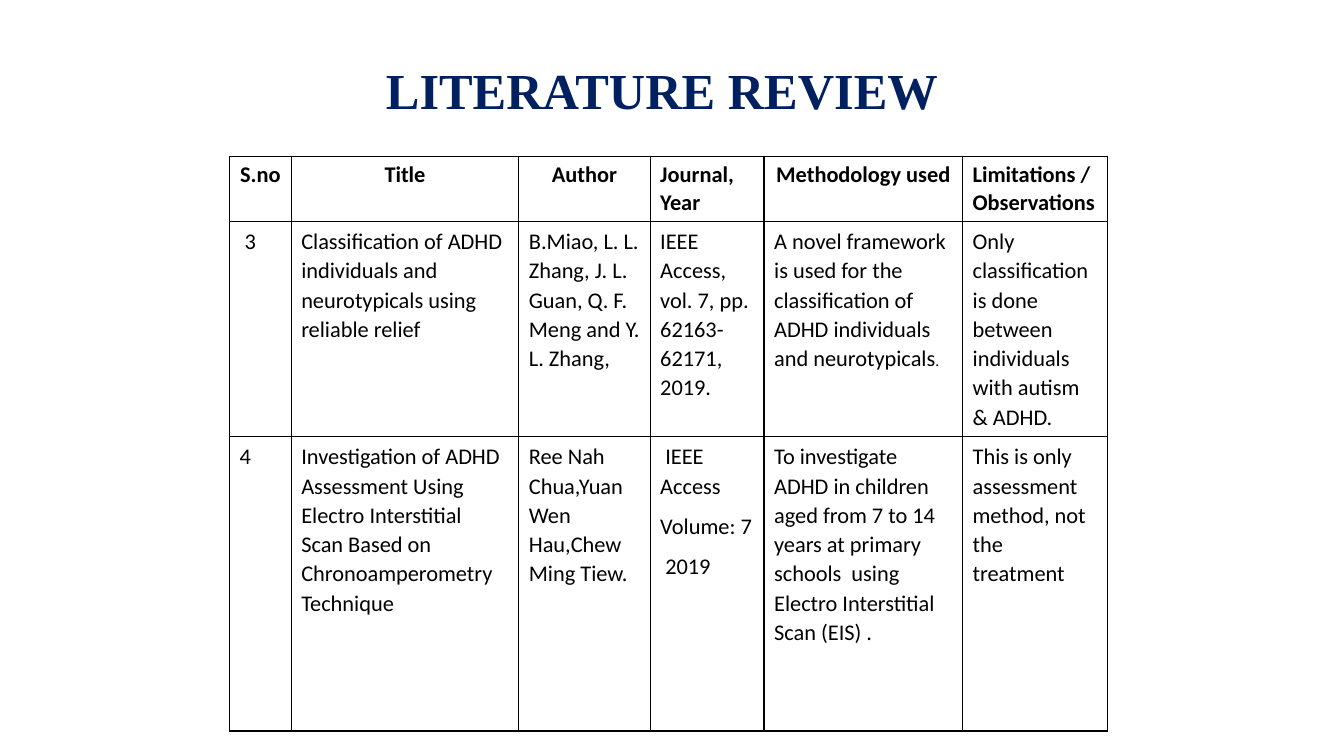
from lxml import etree
from pptx import Presentation
from pptx.dml.color import RGBColor
from pptx.enum import text
from pptx.oxml import ns
from pptx.util import Pt

TITLE = "LITERATURE REVIEW"
HEADERS = ["S.no", "Title", "Author", "Journal, Year", "Methodology used",
           "Limitations /\nObservations"]
CENTERED = {"S.no", "Title", "Author", "Methodology used"}
STUDIES = [
    [" 3",
     "Classification of ADHD individuals and neurotypicals using reliable relief",
     "B.Miao, L. L. Zhang, J. L. Guan, Q. F. Meng and Y. L. Zhang,",
     "IEEE Access, vol. 7, pp. 62163-62171, 2019.",
     "A novel framework is used for the classification of ADHD individuals and neurotypicals.",
     "Only classification is done between individuals with autism & ADHD."],
    ["4",
     "Investigation of ADHD Assessment Using Electro Interstitial Scan Based on "
     "Chronoamperometry Technique",
     "Ree Nah Chua,Yuan Wen Hau,Chew Ming Tiew.",
     " IEEE Access\nVolume: 7\n 2019",
     "To investigate ADHD in children aged from 7 to 14 years at primary schools  using "
     "Electro Interstitial Scan (EIS) .",
     "This is only assessment method, not the treatment"],
]
SMALL_ENDING = "neurotypicals."
COLUMN_WIDTHS = [44, 162.6, 93.8, 81.4, 141.8, 103.7]
ROW_HEIGHTS = [46.4, 153.8, 210.4]
TABLE_LEFT, TABLE_TOP = 164, 111.6
BLACK, NAVY = "000000", "002060"


def color(value):
    return RGBColor.from_string(value)


def write(frame, content, font="Calibri", size=16, ink=BLACK, bold=False,
          align=text.PP_ALIGN.LEFT, line_spacing=1.0, space_after=0):
    for index, line in enumerate(content.split("\n")):
        paragraph = frame.paragraphs[0] if index == 0 else frame.add_paragraph()
        paragraph.alignment = align
        paragraph.line_spacing = line_spacing
        paragraph.space_after = Pt(space_after)
        pieces = [(line, size)]
        if line.endswith(SMALL_ENDING):
            pieces = [(line[:-1], size), (line[-1], 11)]
        for piece, piece_size in pieces:
            run = paragraph.add_run()
            run.text = piece
            run.font.name = font
            run.font.size = Pt(piece_size)
            run.font.bold = bold
            run.font.color.rgb = color(ink)


def add_borders(cell):
    properties = cell._tc.get_or_add_tcPr()
    for side in ("lnL", "lnR", "lnT", "lnB"):
        line = etree.SubElement(properties, ns.qn("a:" + side), w=str(Pt(1)))
        fill = etree.SubElement(line, ns.qn("a:solidFill"))
        etree.SubElement(fill, ns.qn("a:srgbClr"), val=BLACK)


def add_title(slide):
    box = slide.shapes.add_textbox(Pt(268.6), Pt(21.6), Pt(418.3), Pt(90))
    frame = box.text_frame
    frame.word_wrap = True
    frame.vertical_anchor = text.MSO_ANCHOR.MIDDLE
    write(frame, TITLE, font="Times New Roman", size=36, ink=NAVY, bold=True,
          line_spacing=0.9)


def add_review_table(slide):
    rows = [HEADERS] + STUDIES
    table = slide.shapes.add_table(
        len(rows), len(HEADERS), Pt(TABLE_LEFT), Pt(TABLE_TOP),
        Pt(sum(COLUMN_WIDTHS)), Pt(sum(ROW_HEIGHTS))).table
    table.first_row = False
    table.horz_banding = False
    for column, width in zip(table.columns, COLUMN_WIDTHS):
        column.width = Pt(width)
    for row, height in zip(table.rows, ROW_HEIGHTS):
        row.height = Pt(height)
    for row_index, row in enumerate(rows):
        for column_index, content in enumerate(row):
            cell = table.cell(row_index, column_index)
            add_borders(cell)
            cell.fill.background()
            if row_index == 0:
                align = text.PP_ALIGN.CENTER if content in CENTERED else text.PP_ALIGN.LEFT
                write(cell.text_frame, content, bold=True, align=align)
            else:
                write(cell.text_frame, content, line_spacing=1.07, space_after=8)


def main():
    presentation = Presentation()
    presentation.slide_width = Pt(960)
    presentation.slide_height = Pt(540)
    slide = presentation.slides.add_slide(presentation.slide_layouts[6])
    add_title(slide)
    add_review_table(slide)
    presentation.save("out.pptx")


if __name__ == "__main__":
    main()
